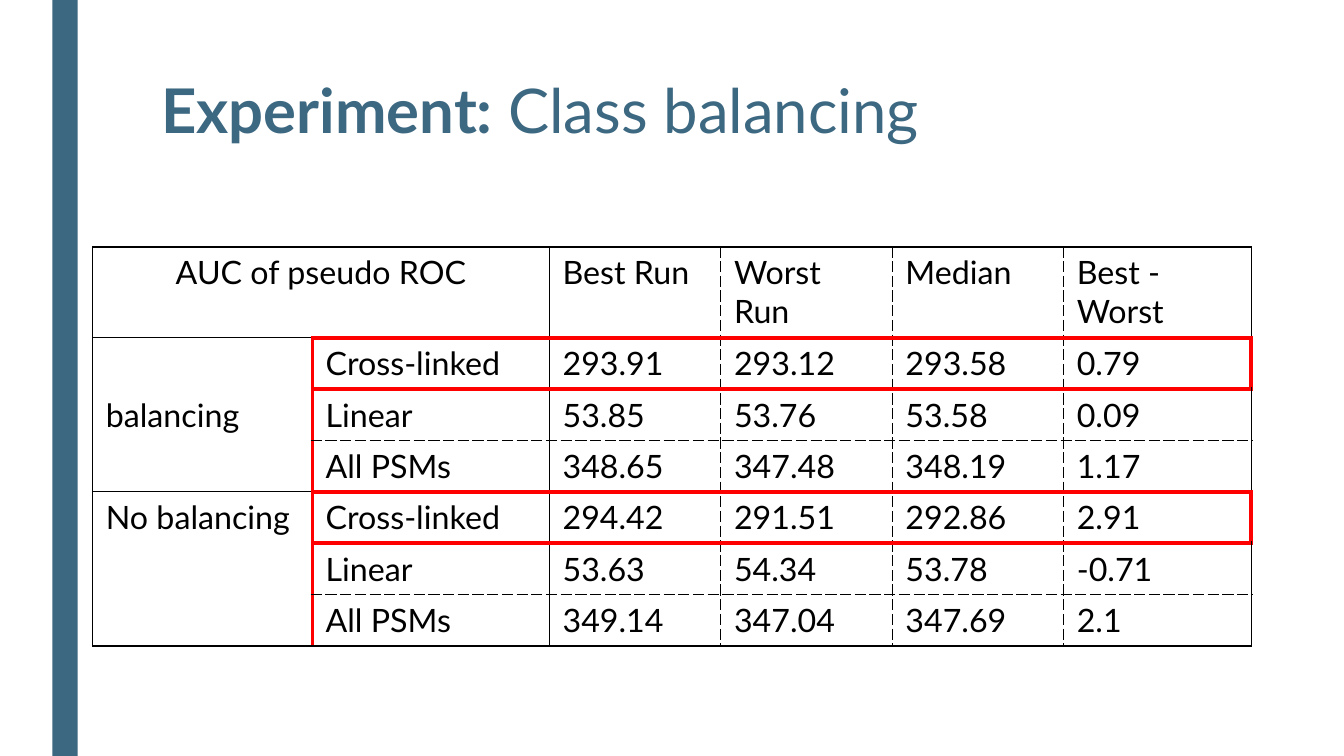
from lxml import etree
from pptx import Presentation
from pptx import util as u
from pptx.dml.color import RGBColor
from pptx.enum import shapes, text
from pptx.oxml.ns import qn

BLUE, BLACK, RED = "3D6881", "000000", "FF0000"
FACE = "Lato"

# Border kinds: colour, width in points, dash
THIN = (BLACK, 1, "solid")
MID = (BLACK, 1.5, "solid")
DASH = (BLACK, 1, "sysDash")
BOLD = (RED, 3, "solid")

WIDTHS = [2.18, 2.35, 1.7, 1.7, 1.7, 1.86]
TALL, LOW = 0.9, 0.51
ROWS = [
    ["AUC of pseudo ROC", "", "Best Run", "Worst Run", "Median", "Best - Worst"],
    ["balancing", "Cross-linked", "293.91", "293.12", "293.58", "0.79"],
    ["", "Linear", "53.85", "53.76", "53.58", "0.09"],
    ["", "All PSMs", "348.65", "347.48", "348.19", "1.17"],
    ["No balancing", "Cross-linked", "294.42", "291.51", "292.86", "2.91"],
    ["", "Linear", "53.63", "54.34", "53.78", "-0.71"],
    ["", "All PSMs", "349.14", "347.04", "347.69", "2.1"],
]
MERGES = [(0, 0, 0, 1), (1, 0, 3, 0), (4, 0, 6, 0)]
MARKED = (1, 4)  # rows framed in red


def color(code):
    return RGBColor.from_string(code)


def assign(item, values):
    for name, value in values.items():
        setattr(item, name, value)


def add_run(para, words, size, code, bold=False):
    run = para.add_run()
    run.text = words
    assign(run.font, {"name": FACE, "size": u.Pt(size), "bold": bold})
    run.font.color.rgb = color(code)


def add_bar(slide, left, top, width, height):
    bar = slide.shapes.add_shape(
        shapes.MSO_SHAPE.RECTANGLE, *map(u.Inches, (left, top, width, height)))
    bar.shadow.inherit = False
    bar.fill.solid()
    bar.fill.fore_color.rgb = color(BLUE)
    bar.line.fill.background()


def add_title(slide, left, top, width, height, lead, rest):
    box = slide.shapes.add_textbox(*map(u.Inches, (left, top, width, height)))
    box.text_frame.word_wrap = True
    para = box.text_frame.paragraphs[0]
    para.line_spacing = 0.89
    add_run(para, lead, 44, BLUE, True)
    add_run(para, rest, 44, BLUE)


def rule_across(line, col):
    """Border kind on the horizontal grid line above row `line`."""
    if col == 0 or line in (0, len(ROWS)):
        return THIN
    return BOLD if line in MARKED or line - 1 in MARKED else DASH


def rule_down(line, row):
    """Border kind on the vertical grid line left of column `line`."""
    if line == 0:
        return THIN
    if line == len(WIDTHS):
        return BOLD if row in MARKED else THIN
    if line == 1:
        return BOLD
    return MID if line == 2 else DASH


def add_border(cell, side, kind):
    code, width, dash = kind
    props = cell._tc.get_or_add_tcPr()
    line = etree.SubElement(props, qn("a:ln" + side), w=str(int(u.Pt(width))))
    fill = etree.SubElement(line, qn("a:solidFill"))
    etree.SubElement(fill, qn("a:srgbClr"), val=code)
    etree.SubElement(line, qn("a:prstDash"), val=dash)


def fill_cell(cell, row, col, words):
    # Borders follow the grid lines around the whole merged area
    high = cell.span_height if cell.is_merge_origin else 1
    wide = cell.span_width if cell.is_merge_origin else 1
    add_border(cell, "L", rule_down(col, row))
    add_border(cell, "R", rule_down(col + wide, row))
    add_border(cell, "T", rule_across(row, col))
    add_border(cell, "B", rule_across(row + high, col))
    cell.fill.background()
    assign(cell, {"margin_left": u.Inches(0.13), "margin_right": u.Inches(0.13),
                  "margin_top": u.Inches(0.06), "margin_bottom": u.Inches(0.06)})
    add_run(cell.text_frame.paragraphs[0], words, 23, BLACK)


def add_grid(slide, left, top):
    heights = [TALL] + [LOW] * (len(ROWS) - 1)
    grid = slide.shapes.add_table(
        len(ROWS), len(WIDTHS), u.Inches(left), u.Inches(top),
        u.Inches(sum(WIDTHS)), u.Inches(sum(heights))).table
    assign(grid, {"first_row": False, "horz_banding": False})
    for col, width in zip(grid.columns, WIDTHS):
        col.width = u.Inches(width)
    for row, height in zip(grid.rows, heights):
        row.height = u.Inches(height)
    for row, col, last, end in MERGES:
        grid.cell(row, col).merge(grid.cell(last, end))
    for row, line in enumerate(ROWS):
        for col, words in enumerate(line):
            cell = grid.cell(row, col)
            if not cell.is_spanned:
                fill_cell(cell, row, col, words)
    grid.cell(0, 0).text_frame.paragraphs[0].alignment = text.PP_ALIGN.CENTER
    grid.cell(1, 0).vertical_anchor = text.MSO_ANCHOR.MIDDLE


def main():
    deck = Presentation()
    assign(deck, {"slide_width": u.Inches(13.33), "slide_height": u.Inches(7.5)})
    slide = deck.slides.add_slide(deck.slide_layouts[6])
    # Side bar, heading, results
    add_bar(slide, 0.52, 0, 0.25, 7.5)
    add_title(slide, 1.5, 0.75, 10.5, 1.62, "Experiment: ", "Class balancing")
    add_grid(slide, 0.92, 2.45)
    deck.save("out.pptx")


if __name__ == "__main__":
    main()
